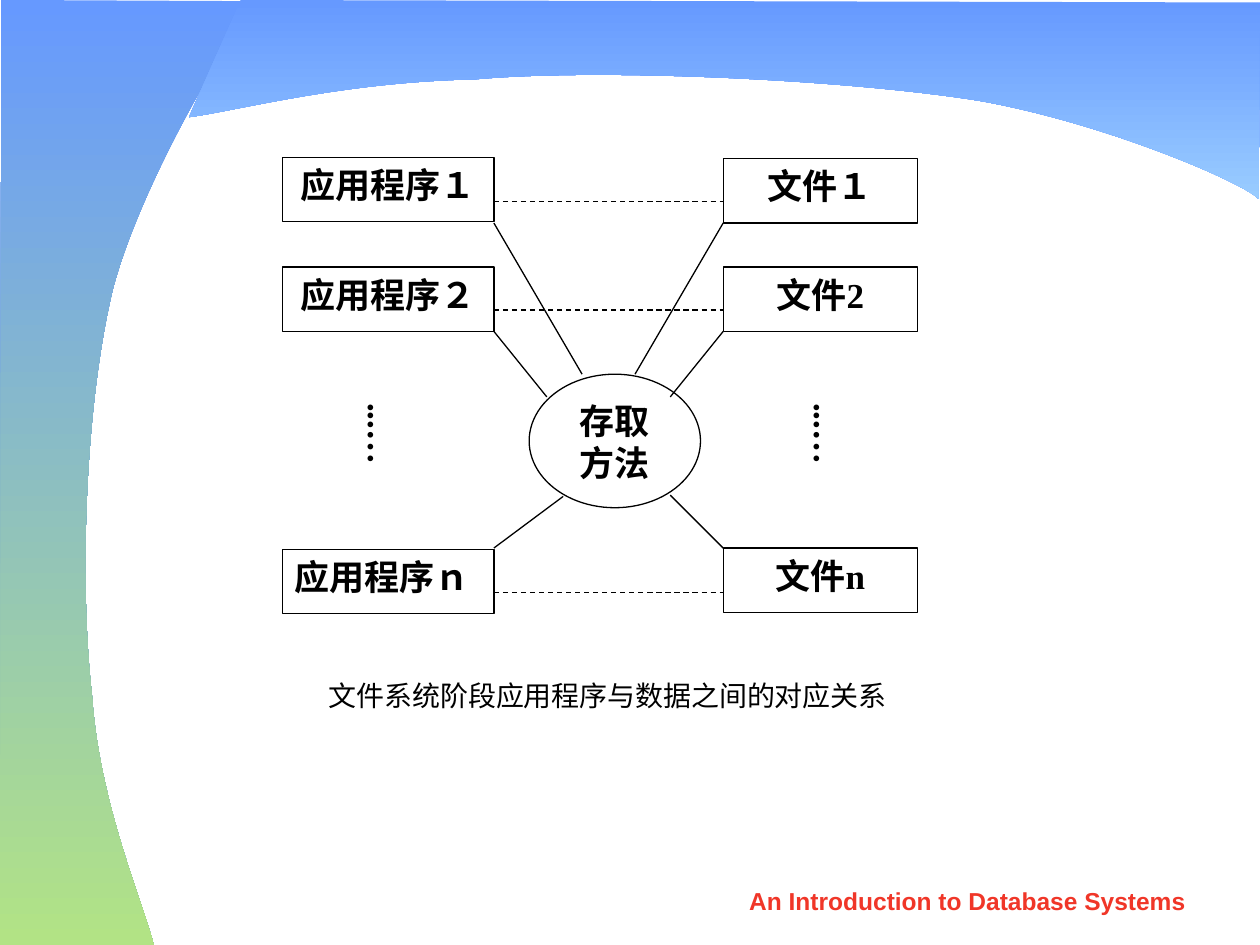
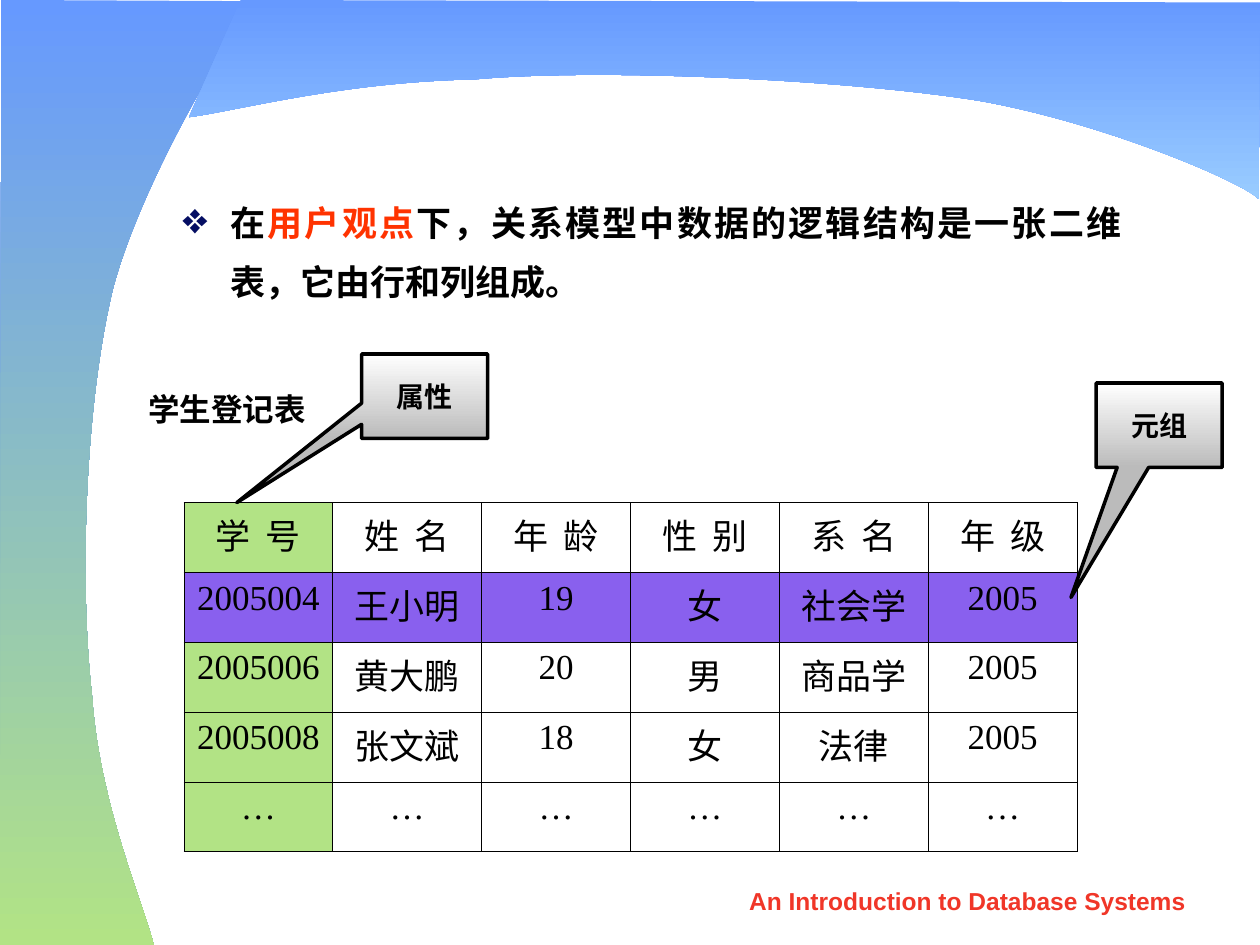
from pptx import Presentation
from pptx.dml.color import RGBColor
from pptx.enum.dml import MSO_LINE
from pptx.enum.shapes import MSO_CONNECTOR, MSO_SHAPE
from pptx.enum.text import MSO_ANCHOR, MSO_AUTO_SIZE, PP_ALIGN
from pptx.oxml.ns import qn
from pptx.util import Inches, Pt
from lxml.etree import SubElement

BLACK = RGBColor(0x00, 0x00, 0x00)
WHITE = RGBColor(0xFF, 0xFF, 0xFF)
GREY = RGBColor(0xBB, 0xBB, 0xBB)
BLUE = RGBColor(0x66, 0x99, 0xFF)
LIGHT_BLUE = RGBColor(0x99, 0xCC, 0xFF)
GREEN = RGBColor(0xB2, 0xE3, 0x85)
PURPLE = RGBColor(0x89, 0x60, 0xEE)
RED = RGBColor(0xF0, 0x36, 0x28)
ORANGE = RGBColor(0xFF, 0x33, 0x00)
NAVY = RGBColor(0x05, 0x0E, 0x63)
SERIF, SANS, CHINESE = "Times New Roman", "Arial", "Noto Sans CJK SC"

SLIDE_WIDTH, SLIDE_HEIGHT = 10, 7.5
FOOTER = "An Introduction to Database Systems"

# Each band: start, Bezier curves (two controls and an end), straight corners, end colour
BANDS = [
    ((1.22, 7.5),
     [((1.14, 7.17), (0.79, 6.39), (0.73, 5.52)),
      ((0.63, 4.64), (0.67, 3.22), (0.9, 2.28)),
      ((1.14, 1.39), (1.92, 0.1), (2.08, 0.01))],
     [(0.01, 0), (0, 7.5)], GREEN),
    ((1.5, 0.93),
     [((1.88, 0.88), (2.72, 0.65), (3.77, 0.63)),
      ((4.76, 0.54), (6.71, 0.63), (7.77, 0.8)),
      ((8.79, 0.98), (9.89, 1.46), (9.99, 1.58))],
     [(10, 0.02), (1.91, 0)], LIGHT_BLUE),
]

# Each row: (program, top), (file, top), height of the dashed link,
# height where both spokes leave, spoke ends on the ellipse (left, right)
PAIRS = [
    (("应用程序１", 1.25), ("文件１", 1.26), 1.6, 1.77, ((4.62, 2.97), (5.04, 2.97))),
    (("应用程序２", 2.12), ("文件2", 2.12), 2.46, 2.63, ((4.34, 3.15), (5.32, 3.15))),
    (("应用程序ｎ", 4.36), ("文件n", 4.35), 4.7, 4.35, ((4.47, 3.94), (5.32, 3.93))),
]
PROGRAM_LEFT, PROGRAM_WIDTH = 2.24, 1.68
FILE_LEFT, FILE_WIDTH = 5.74, 1.54
BOX_HEIGHT = 0.51
ACCESS_METHOD, ACCESS_PLACE = "存取方法", (4.2, 2.97, 1.36, 1.06)
DOTS = "...…"
DOTS_PLACES = [(2.72, 3.1, 0.53, 0.91), (6.26, 3.1, 0.53, 0.99)]
CAPTION = "文件系统阶段应用程序与数据之间的对应关系"

STATEMENT = [("在", BLACK), ("用户观点", ORANGE),
             ("下，关系模型中数据的逻辑结构是一张二维表，它由行和列组成。", BLACK)]
TABLE_TITLE = "学生登记表"
STUDENTS = [
    ["学 号", "姓 名", "年 龄", "性 别", "系 名", "年 级"],
    ["2005004", "王小明", "19", "女", "社会学", "2005"],
    ["2005006", "黄大鹏", "20", "男", "商品学", "2005"],
    ["2005008", "张文斌", "18", "女", "法律", "2005"],
    ["…"] * 6,
]
TABLE_PLACE = (1.46, 3.99, 7.09, 2.77)
TUPLE_ROW = 1
CALLOUTS = [("属性", 2.87, 2.81, (-1.49, 1.26)),
            ("元组", 8.7, 3.04, (-0.7, 2.04))]


def inches(*lengths):
    return [Inches(length) for length in lengths]


def format_run(run, size, color=BLACK, bold=False, font=SERIF):
    run.font.size, run.font.bold, run.font.name = Pt(size), bold, font
    run.font.color.rgb = color
    SubElement(run.font._element, qn("a:ea")).set("typeface", CHINESE)


def write(shape, text, size, align=PP_ALIGN.CENTER, **style):
    shape.text_frame.text = text
    paragraph = shape.text_frame.paragraphs[0]
    paragraph.alignment = align
    format_run(paragraph.runs[0], size, **style)
    return paragraph


def add_text_box(slide, place, wrap=True):
    box = slide.shapes.add_textbox(*inches(*place))
    box.text_frame.word_wrap = wrap
    return box


def fill_gradient(shape, top_color, bottom_color):
    shape.fill.gradient()
    shape.fill.gradient_angle = 270
    for stop, color in zip(shape.fill.gradient_stops, (top_color, bottom_color)):
        stop.color.rgb = color


def add_outlined(slide, kind, place, text, size=20, line_width=0.75,
                 align=PP_ALIGN.CENTER):
    shape = slide.shapes.add_shape(kind, *inches(*place))
    shape.shadow.inherit = False
    shape.fill.solid()
    shape.fill.fore_color.rgb = WHITE
    shape.line.color.rgb = BLACK
    shape.line.width = Pt(line_width)
    shape.text_frame.vertical_anchor = MSO_ANCHOR.TOP
    write(shape, text, size, align, bold=True)
    return shape


def add_line(slide, start, end, dashed=False):
    line = slide.shapes.add_connector(MSO_CONNECTOR.STRAIGHT, *inches(*start, *end))
    line.line.color.rgb = BLACK
    line.line.width = Pt(0.75)
    if dashed:
        line.line.dash_style = MSO_LINE.DASH
    SubElement(line._element.spPr, qn("a:effectLst"))


def bend_lines(freeform, curve_count):
    """Turn each of the first triples of straight segments into one Bezier curve."""
    segments = list(freeform._element.iter(qn("a:lnTo")))
    for index in range(curve_count):
        first, second, end = segments[3 * index:3 * index + 3]
        curve = first.makeelement(qn("a:cubicBezTo"), {})
        first.addprevious(curve)
        for segment in (first, second, end):
            curve.append(segment[0])
            segment.getparent().remove(segment)


def add_base_slide(presentation):
    """A blank slide with the two bands and the footer."""
    slide = presentation.slides.add_slide(presentation.slide_layouts[6])
    for start, curves, corners, end_color in BANDS:
        builder = slide.shapes.build_freeform(*inches(*start), scale=1.0)
        points = [point for curve in curves for point in curve] + corners
        builder.add_line_segments([inches(*point) for point in points], close=True)
        band = builder.convert_to_shape()
        bend_lines(band, len(curves))
        band.shadow.inherit = False
        band.line.fill.background()
        fill_gradient(band, BLUE, end_color)
    footer = add_text_box(slide, (5.71, 6.98, 3.94, 0.35))
    write(footer, FOOTER, 14, color=RED, bold=True, font=SANS)
    return slide


def add_dots(slide, place):
    dots = add_text_box(slide, place)
    frame = dots.text_frame
    frame.margin_left = frame.margin_right = Inches(0.05)
    frame.margin_top = frame.margin_bottom = Inches(0.1)
    frame.auto_size = MSO_AUTO_SIZE.SHAPE_TO_FIT_TEXT
    frame._txBody.bodyPr.set("vert", "eaVert")
    write(dots, DOTS, 20, PP_ALIGN.LEFT, bold=True).space_before = Pt(12.5)


def build_file_system_slide(presentation):
    slide = add_base_slide(presentation)
    program_right = PROGRAM_LEFT + PROGRAM_WIDTH
    for (program, program_top), (file, file_top), link_y, _, _ in PAIRS:
        align = PP_ALIGN.JUSTIFY if program == PAIRS[-1][0][0] else PP_ALIGN.CENTER
        add_outlined(slide, MSO_SHAPE.RECTANGLE,
                     (PROGRAM_LEFT, program_top, PROGRAM_WIDTH, BOX_HEIGHT),
                     program, align=align)
        add_outlined(slide, MSO_SHAPE.RECTANGLE,
                     (FILE_LEFT, file_top, FILE_WIDTH, BOX_HEIGHT), file)
        add_line(slide, (program_right, link_y), (FILE_LEFT, link_y), dashed=True)
    add_outlined(slide, MSO_SHAPE.OVAL, ACCESS_PLACE, ACCESS_METHOD)
    for _, _, _, leave_y, ends in PAIRS:
        for leave_x, end in zip((program_right, FILE_LEFT), ends):
            add_line(slide, (leave_x, leave_y), end)
    for place in DOTS_PLACES:
        add_dots(slide, place)
    caption = add_text_box(slide, (2.07, 5.34, 5.51, 0.4), wrap=False)
    write(caption, CAPTION, 16, font=CHINESE)


def add_statement(slide):
    box = add_text_box(slide, (1.35, 1.42, 7.65, 1.1))
    paragraph = box.text_frame.paragraphs[0]
    paragraph.alignment = PP_ALIGN.JUSTIFY
    paragraph.line_spacing = 1.4
    paragraph.space_before = Pt(5)
    for text, color in STATEMENT:
        run = paragraph.add_run()
        run.text = text
        format_run(run, 20, color, bold=True, font=SANS)
    properties = paragraph._p.get_or_add_pPr()
    properties.set("marL", str(Inches(0.38)))
    properties.set("indent", str(-Inches(0.38)))
    properties.set("hangingPunct", "0")
    bullet_color = SubElement(properties, qn("a:buClr"))
    SubElement(bullet_color, qn("a:srgbClr")).set("val", str(NAVY))
    SubElement(properties, qn("a:buSzPct")).set("val", "125000")
    SubElement(properties, qn("a:buChar")).set("char", "❖")


def add_borders(cell):
    properties = cell._tc.get_or_add_tcPr()
    for position, side in enumerate(("a:lnL", "a:lnR", "a:lnT", "a:lnB")):
        line = properties.makeelement(qn(side), {"w": str(Pt(0.45))})
        fill = SubElement(line, qn("a:solidFill"))
        SubElement(fill, qn("a:srgbClr")).set("val", str(BLACK))
        properties.insert(position, line)


def add_student_table(slide):
    rows, columns = len(STUDENTS), len(STUDENTS[0])
    table = slide.shapes.add_table(rows, columns, *inches(*TABLE_PLACE)).table
    table.first_row = table.horz_banding = False
    for row, values in enumerate(STUDENTS):
        for column, value in enumerate(values):
            cell = table.cell(row, column)
            paragraph = write(cell, value, 20)
            if row == 0:
                paragraph.runs[0].font._element.set("spc", "200")
            if row == TUPLE_ROW or column == 0:
                cell.fill.solid()
                cell.fill.fore_color.rgb = PURPLE if row == TUPLE_ROW else GREEN
            else:
                cell.fill.background()
            add_borders(cell)


def build_relation_slide(presentation):
    slide = add_base_slide(presentation)
    add_statement(slide)
    add_student_table(slide)
    title = add_text_box(slide, (0.7, 3.05, 2.2, 0.4), wrap=False)
    write(title, TABLE_TITLE, 18, bold=True)
    for text, left, top, tip in CALLOUTS:
        callout = add_outlined(slide, MSO_SHAPE.RECTANGULAR_CALLOUT,
                               (left, top, 1, 0.67), text, size=16, line_width=2)
        callout.text_frame.vertical_anchor = MSO_ANCHOR.MIDDLE
        fill_gradient(callout, WHITE, GREY)
        callout.adjustments[0], callout.adjustments[1] = tip


def main():
    presentation = Presentation()
    presentation.slide_width, presentation.slide_height = inches(SLIDE_WIDTH, SLIDE_HEIGHT)
    build_file_system_slide(presentation)
    build_relation_slide(presentation)
    presentation.save("out.pptx")


if __name__ == "__main__":
    main()
